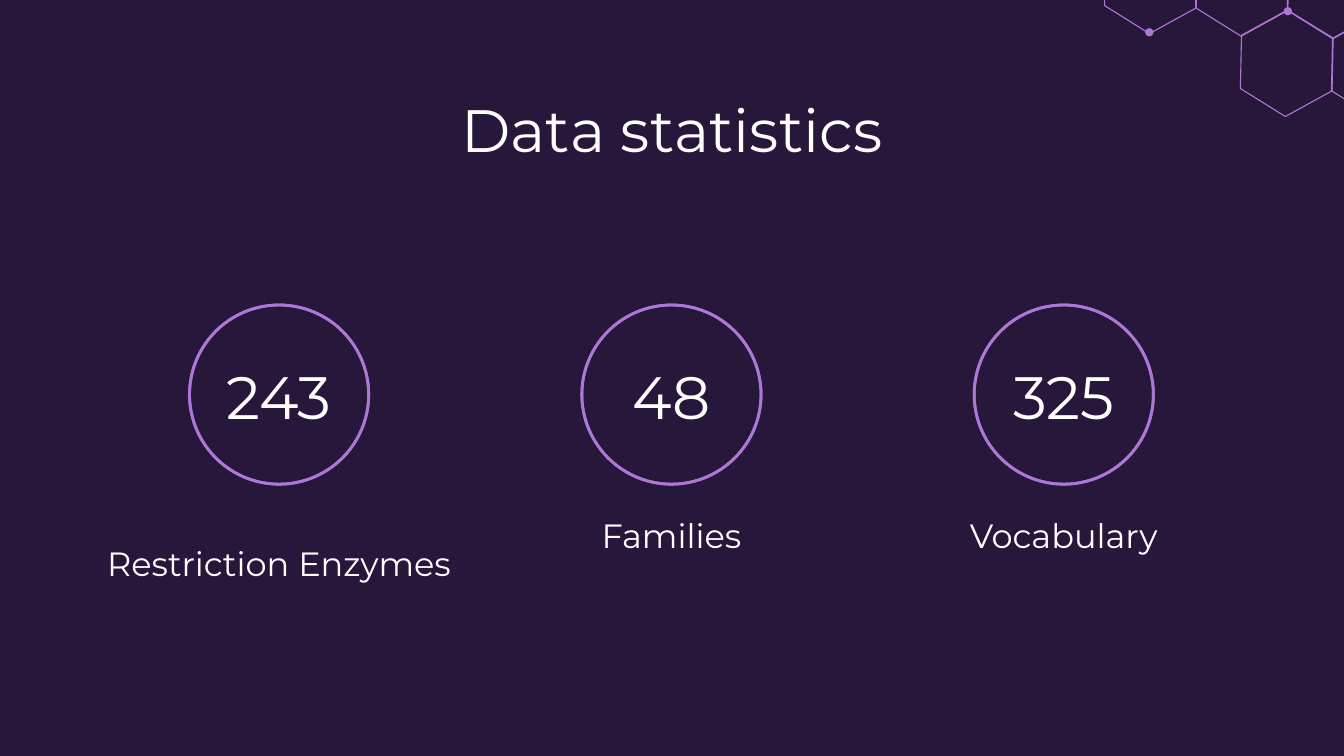
from pptx import Presentation
from pptx.dml.color import RGBColor
from pptx.enum.shapes import MSO_SHAPE as Shape
from pptx.enum.text import MSO_ANCHOR as Anchor, PP_ALIGN as Align
from pptx.util import Pt

COLORS = {"background": "27173A", "accent": "AE77D6", "text": "FFFFFF"}

# Hexagon corners relative to its lower left corner
HEXAGON = [(0, 0), (0.6, -28.5), (25.2, -42.1), (49.4, -27.2), (48.8, 1.4), (24.1, 15)]
LATTICE_ORIGIN = (591.7, 3)
COLUMN_STEP = (49.1, 1.4)
ROW_STEP = (23.7, 43.1)
HEXAGON_CELLS = [(2, 0), (1, 0), (0, 0), (2, 1), (1, 1)]
DOT_CENTERS = [(689.9, 6), (615.7, 17.3)]

FIRST_CENTER, CENTER_STEP = 149.5, 210.2
# Number, label, label width, label height
STATISTICS = [
    ("243", "Restriction Enzymes", 210, 51),
    ("48", "Families", 187, 36),
    ("325", "Vocabulary", 187, 36),
]


def rgb(name):
    return RGBColor.from_string(COLORS[name])


class SlideBuilder:
    def __init__(self, slide, font="Montserrat"):
        self.slide = slide
        self.shapes = slide.shapes
        self.font = font
        fill = slide.background.fill
        fill.solid()
        fill.fore_color.rgb = rgb("background")

    def text(self, text, center, top, width, height, size, anchor):
        """Add centred text in a box placed by its horizontal centre."""
        sp = self.shapes.add_textbox(Pt(center - width / 2), Pt(top), Pt(width), Pt(height))
        tf = sp.text_frame
        tf.word_wrap = True
        tf.vertical_anchor = anchor
        tf.margin_left = tf.margin_right = tf.margin_top = tf.margin_bottom = Pt(7.2)
        p = tf.paragraphs[0]
        p.text = text
        p.alignment = Align.CENTER
        p.font.name = self.font
        p.font.size = Pt(size)
        p.font.color.rgb = rgb("text")

    def outline(self, sp, width):
        sp.shadow.inherit = False
        sp.fill.background()
        sp.line.color.rgb = rgb("accent")
        sp.line.width = Pt(width)

    def hexagon(self, x, y):
        corners = [(Pt(x + dx), Pt(y + dy)) for dx, dy in HEXAGON]
        builder = self.shapes.build_freeform(*corners[0])
        builder.add_line_segments(corners[1:], close=True)
        self.outline(builder.convert_to_shape(), 0.6)

    def dot(self, x, y, size=4.4):
        sp = self.shapes.add_shape(
            Shape.OVAL, Pt(x - size / 2), Pt(y - size / 2), Pt(size), Pt(size))
        sp.shadow.inherit = False
        sp.fill.solid()
        sp.fill.fore_color.rgb = rgb("accent")
        sp.line.fill.background()

    def ring(self, center, top, size):
        sp = self.shapes.add_shape(
            Shape.DONUT, Pt(center - size / 2), Pt(top), Pt(size), Pt(size))
        sp.adjustments[0] = 0
        self.outline(sp, 1.5)


def main():
    prs = Presentation()
    prs.slide_width, prs.slide_height = Pt(720), Pt(405)
    s = SlideBuilder(prs.slides.add_slide(prs.slide_layouts[6]))

    for column, row in HEXAGON_CELLS:
        s.hexagon(*(origin + column * across + row * down for origin, across, down
                    in zip(LATTICE_ORIGIN, COLUMN_STEP, ROW_STEP)))
    for x, y in DOT_CENTERS:
        s.dot(x, y)

    s.text("Data statistics", 360, 42.5, 608, 45, 32, Anchor.TOP)
    for i, (number, label, width, height) in enumerate(STATISTICS):
        center = FIRST_CENTER + i * CENTER_STEP
        s.ring(center, 163.4, 96)
        s.text(number, center, 193.7, 110, 36, 32, Anchor.MIDDLE)
        s.text(label, center, 268.6, width, height, 18, Anchor.BOTTOM)

    prs.save("out.pptx")


if __name__ == "__main__":
    main()
